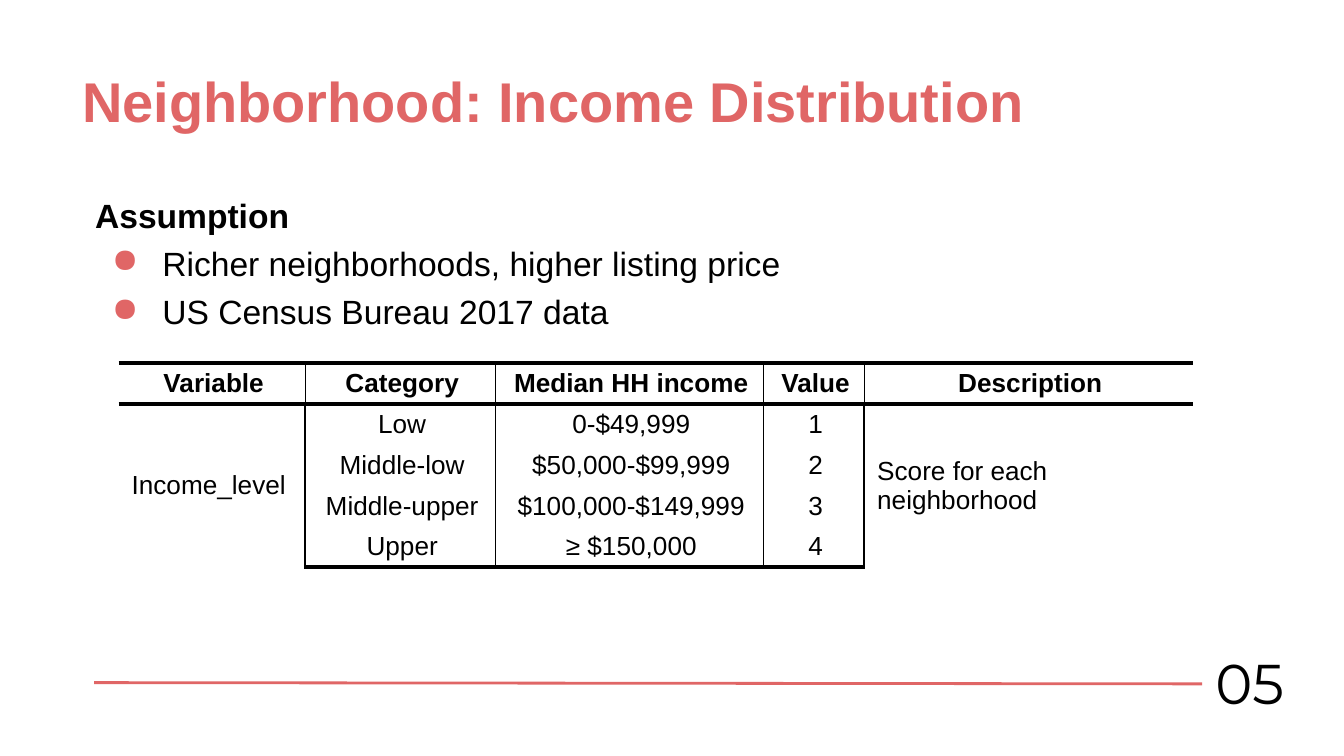
from lxml import etree
from pptx import Presentation
from pptx.dml import color
from pptx.enum import shapes, text
from pptx.oxml import ns
from pptx.util import Pt

BLACK, CORAL, WHITE = "000000", "E06666", "FFFFFF"
HEADINGS = ["Variable", "Category", "Median HH income", "Value", "Description"]
LEVELS = [
    ("Low", "0-$49,999", "1"),
    ("Middle-low", "$50,000-$99,999", "2"),
    ("Middle-upper", "$100,000-$149,999", "3"),
    ("Upper", "≥ $150,000", "4"),
]


def rgb(value):
    """Turn a hex string into a colour."""
    return color.RGBColor.from_string(value)


def add_span(para, words, size, tint=BLACK, bold=False, font="Arial"):
    """Add one formatted run to a paragraph."""
    span = para.add_run()
    span.text = words
    span.font.name = font
    span.font.size = Pt(size)
    span.font.bold = bold
    span.font.color.rgb = rgb(tint)


def set_frame(frame, left, top, right, bottom):
    """Give a text frame wrapping, a top anchor and its insets."""
    frame.word_wrap = True
    frame.auto_size = text.MSO_AUTO_SIZE.NONE
    frame.vertical_anchor = text.MSO_ANCHOR.TOP
    frame.margin_left, frame.margin_top = Pt(left), Pt(top)
    frame.margin_right, frame.margin_bottom = Pt(right), Pt(bottom)


def place_title(page, left, top, width, height):
    """Place the slide title."""
    title = page.shapes.title
    title.left, title.top = Pt(left), Pt(top)
    title.width, title.height = Pt(width), Pt(height)
    set_frame(title.text_frame, 5, 6, 5, 3)
    para = title.text_frame.paragraphs[0]
    para.alignment = text.PP_ALIGN.LEFT
    para.line_spacing = 1.0
    add_span(para, "Neighborhood: Income Distribution", 30, CORAL, True)


def add_bullet(para):
    """Give a paragraph a coral dot and a hanging indent."""
    props = para._p.get_or_add_pPr()
    props.set("marL", str(Pt(36)))
    props.set("indent", str(-Pt(27)))
    tint = etree.SubElement(props, ns.qn("a:buClr"))
    etree.SubElement(tint, ns.qn("a:srgbClr"), val=CORAL)
    etree.SubElement(props, ns.qn("a:buChar"), char="●")


def place_assumptions(page, left, top, width, height):
    """Place the assumption heading and its bullets."""
    box = page.shapes.add_textbox(Pt(left), Pt(top), Pt(width), Pt(height))
    frame = box.text_frame
    set_frame(frame, 5, 3, 5, 3)
    lines = ["Assumption", "Richer neighborhoods, higher listing price",
             "US Census Bureau 2017 data"]
    for index, line in enumerate(lines):
        para = frame.add_paragraph() if index else frame.paragraphs[0]
        para.line_spacing = 1.15
        para.space_before = Pt(1)
        if index:
            add_bullet(para)
        add_span(para, line, 18, bold=index == 0)


def set_borders(cell, left, right, top, bottom):
    """Draw black cell borders of the given widths, none where zero."""
    props = cell._tc.get_or_add_tcPr()
    for side, weight in zip("LRTB", (left, right, top, bottom)):
        line = etree.SubElement(props, ns.qn(f"a:ln{side}"), w=str(Pt(weight)))
        if weight:
            fill = etree.SubElement(line, ns.qn("a:solidFill"))
            etree.SubElement(fill, ns.qn("a:srgbClr"), val=BLACK)
        else:
            etree.SubElement(line, ns.qn("a:noFill"))


def place_income_table(page, left, top, width, height):
    """Place the income level table."""
    rows = [HEADINGS] + [["", *level, ""] for level in LEVELS]
    rows[1][0], rows[1][-1] = "Income_level", "Score for each neighborhood"
    last_row, last_col = len(rows) - 1, len(HEADINGS) - 1
    grid = page.shapes.add_table(len(rows), len(HEADINGS), Pt(left), Pt(top),
                                 Pt(width), Pt(height)).table
    grid.first_row = grid.horz_banding = False
    shares = [100, 102, 143.5, 54, 176]
    for column, share in zip(grid.columns, shares):
        column.width = Pt(width * share / sum(shares))
    for r, row in enumerate(rows):
        grid.rows[r].height = Pt(height / len(rows))
        for c, words in enumerate(row):
            cell = grid.cell(r, c)
            rule = 1 if r else 0.75
            set_borders(cell, rule if c else 0, rule if c < last_col else 0,
                        2.25 if r < 2 else 0, 2.25 if r in (0, last_row) else 0)
            cell.fill.solid()
            cell.fill.fore_color.rgb = rgb(WHITE)
            cell.vertical_anchor = text.MSO_ANCHOR.MIDDLE
            cell.margin_left, cell.margin_right = Pt(7), Pt(5)
            cell.margin_top = cell.margin_bottom = 0
            if words:
                para = cell.text_frame.paragraphs[0]
                centred = r == 0 or 0 < c < last_col
                para.alignment = text.PP_ALIGN.CENTER if centred else text.PP_ALIGN.LEFT
                add_span(para, words, 14, bold=r == 0)
    for c in (0, last_col):
        grid.cell(1, c).merge(grid.cell(last_row, c))


def place_footer(page, left, top, width, height):
    """Place the footer rule and the page number at its right end."""
    number_width = 57.5
    end = left + width - number_width
    rule = page.shapes.add_connector(shapes.MSO_CONNECTOR.STRAIGHT, Pt(left),
                                     Pt(top + 25.2), Pt(end), Pt(top + 25.9))
    rule.line.color.rgb = rgb(CORAL)
    rule.line.width = Pt(1.5)
    etree.SubElement(rule._element.spPr, ns.qn("a:effectLst"))
    box = page.shapes.add_textbox(Pt(end), Pt(top), Pt(number_width), Pt(height))
    set_frame(box.text_frame, 7.2, 7.2, 7.2, 7.2)
    add_span(box.text_frame.paragraphs[0], "05", 30, font="Montserrat")


def main():
    """Build and save the deck."""
    deck = Presentation()
    deck.slide_width, deck.slide_height = Pt(720), Pt(405)
    page = deck.slides.add_slide(deck.slide_layouts[5])
    page.background.fill.solid()
    page.background.fill.fore_color.rgb = rgb(WHITE)
    place_title(page, 39, 29.5, 637, 34.5)
    place_assumptions(page, 46, 98, 526, 75)
    place_income_table(page, 63.5, 194.5, 575.5, 109.5)
    place_footer(page, 50.5, 340.5, 651, 51)
    deck.save("out.pptx")


if __name__ == "__main__":
    main()
